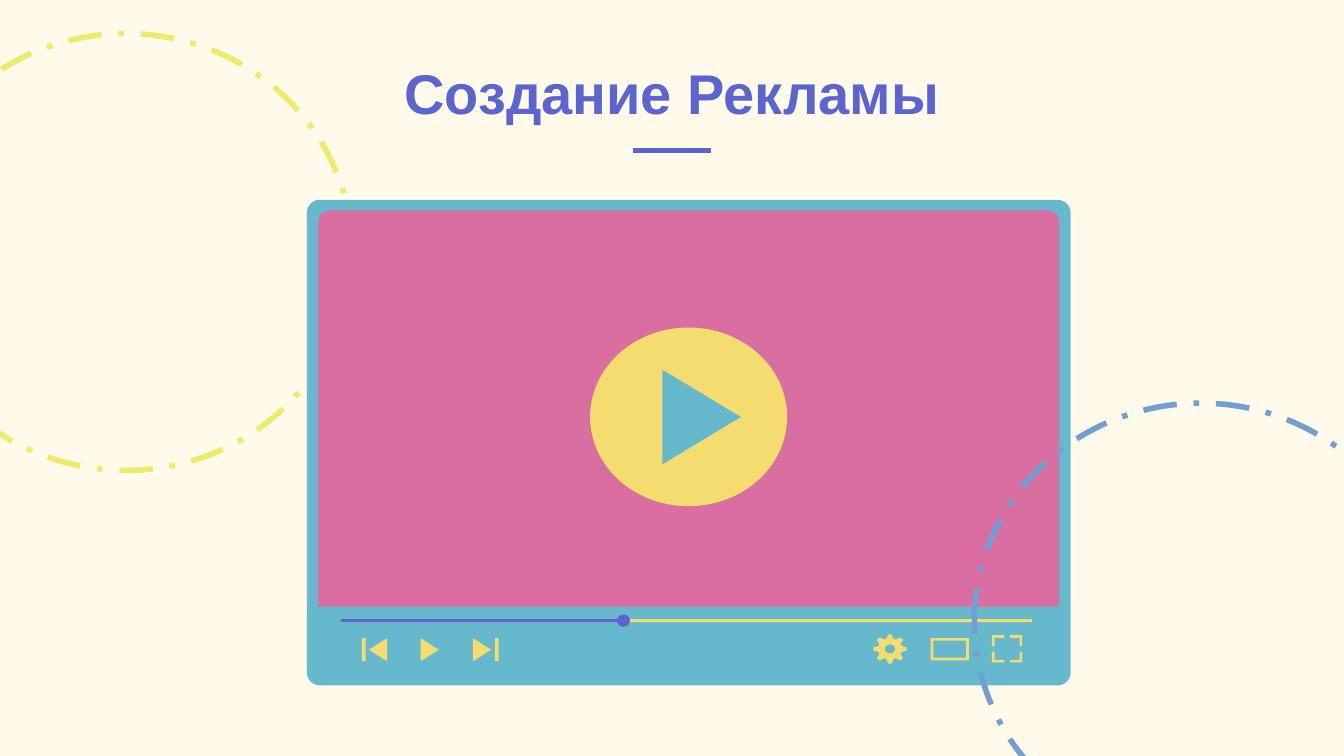
"""Build the "Создание Рекламы" slide with a video player illustration."""
from math import cos, radians, sin

from lxml import etree
from pptx import Presentation
from pptx.dml.color import RGBColor
from pptx.enum.shapes import MSO_CONNECTOR, MSO_SHAPE
from pptx.enum.text import MSO_ANCHOR, PP_ALIGN
from pptx.oxml.ns import qn
from pptx.util import Pt

TITLE = "Создание Рекламы"
FONT = "Arial"
COLORS = {
    "cream": "FFFAEA", "indigo": "5C65CF", "lime": "ECEC6A", "teal": "66B9CC",
    "pink": "D96FA0", "yellow": "F5DC6E", "blue": "729FCF",
}
SLIDE_SIZE = (720, 405)
TITLE_BOX = (62.6, 15.8, 594.8, 59)
UNDERLINE = (339.3, 380.7, 80.6)
RING_SIZE = (242.6, 234)
RINGS = {"lime": (-54, 18), "blue": (522, 216)}
DASHES = [(6, 3), (1, 3)]

PLAYER = [
    (MSO_SHAPE.ROUNDED_RECTANGLE, "teal", (164.4, 107.1, 409.2, 260.1), 7),
    (MSO_SHAPE.ROUNDED_RECTANGLE, "pink", (170.5, 112.7, 396.9, 248.7), 6.3),
    (MSO_SHAPE.OVAL, "yellow", (316.1, 175.5, 105.6, 95.7), None),
    (MSO_SHAPE.RECTANGLE, "teal", (170, 325, 398, 41), None),
    (MSO_SHAPE.RECTANGLE, "yellow", (182.5, 331.7, 370.5, 1.6), None),
    (MSO_SHAPE.RECTANGLE, "indigo", (182.5, 331.7, 151.5, 1.6), None),
    (MSO_SHAPE.OVAL, "indigo", (330.5, 329.2, 7.1, 6.6), None),
    (MSO_SHAPE.FRAME, "yellow", (498.6, 341.8, 20.4, 12), 1.4),
]
CONTROL_MIDDLE = 348.1
CONTROL_HEIGHT = 12.4
PLAY_MARKS = [
    ("teal", 354.9, 396.9, 223.4, 50.7),
    ("yellow", 253.4, 263.1, CONTROL_MIDDLE, CONTROL_HEIGHT),
    ("yellow", 225.4, 235.1, CONTROL_MIDDLE, CONTROL_HEIGHT),
    ("yellow", 207.4, 197.7, CONTROL_MIDDLE, CONTROL_HEIGHT),
]
SKIP_BARS = [193.9, 265.1]
SKIP_BAR_WIDTH = 2.1
GEAR = {"center": (476.8, 347.7), "radii": (9, 7.9), "teeth": 8}
TOOTH_PROFILE = [(-17, 0.72), (-6, 1), (6, 1), (17, 0.72)]
HOLE_RADIUS = 0.31
FULLSCREEN = {"center": (539.5, 347.6), "half": (8.1, 7.3), "gap": 1.5, "thickness": 1.4}


def color(name):
    return RGBColor.from_string(COLORS[name])


def paint(shape, name):
    shape.fill.solid()
    shape.fill.fore_color.rgb = color(name)
    shape.line.fill.background()
    shape.shadow.inherit = False


def add_solid(shapes, preset, name, box, detail=None):
    shape = shapes.add_shape(preset, *map(Pt, box))
    paint(shape, name)
    if detail:
        shape.adjustments[0] = detail / min(box[2:])


def add_outline(shapes, name, *contours):
    builder = None
    for contour in contours:
        points = [(Pt(x), Pt(y)) for x, y in contour]
        if builder is None:
            builder = shapes.build_freeform(*points[0])
        else:
            builder.move_to(*points[0])
        builder.add_line_segments(points[1:], close=True)
    paint(builder.convert_to_shape(), name)


def add_ring(shapes, name, corner):
    ring = shapes.add_shape(MSO_SHAPE.OVAL, *map(Pt, corner + RING_SIZE))
    ring.fill.background()
    ring.shadow.inherit = False
    ring.line.color.rgb = color(name)
    ring.line.width = Pt(3)
    pattern = etree.SubElement(ring.line._get_or_add_ln(), qn("a:custDash"))
    for dash, space in DASHES:
        etree.SubElement(pattern, qn("a:ds"), d=str(dash * 100000), sp=str(space * 100000))


def add_title(shapes):
    left, right, y = UNDERLINE
    underline = shapes.add_connector(MSO_CONNECTOR.STRAIGHT, Pt(left), Pt(y), Pt(right), Pt(y))
    underline.line.color.rgb = color("indigo")
    underline.line.width = Pt(3)
    etree.SubElement(underline._element.spPr, qn("a:effectLst"))

    frame = shapes.add_textbox(*map(Pt, TITLE_BOX)).text_frame
    frame.word_wrap = True
    frame.vertical_anchor = MSO_ANCHOR.BOTTOM
    frame.margin_left = frame.margin_right = frame.margin_top = frame.margin_bottom = Pt(7.2)
    paragraph = frame.paragraphs[0]
    paragraph.text = TITLE
    paragraph.alignment = PP_ALIGN.CENTER
    paragraph.font.name = FONT
    paragraph.font.size = Pt(30)
    paragraph.font.bold = True
    paragraph.font.color.rgb = color("indigo")


def add_gear(shapes):
    (center_x, center_y), (radius_x, radius_y) = GEAR["center"], GEAR["radii"]

    def polar(angle, radius):
        turn = radians(angle)
        return center_x + radius_x * radius * cos(turn), center_y + radius_y * radius * sin(turn)

    step = 360 / GEAR["teeth"]
    teeth = [polar(tooth * step + offset, radius)
             for tooth in range(GEAR["teeth"]) for offset, radius in TOOTH_PROFILE]
    hole = [polar(-angle, HOLE_RADIUS) for angle in range(0, 360, 15)]
    add_outline(shapes, "yellow", teeth, hole)


def add_fullscreen(shapes):
    (center_x, center_y), (width, height) = FULLSCREEN["center"], FULLSCREEN["half"]
    gap, thickness = FULLSCREEN["gap"], FULLSCREEN["thickness"]
    bracket = [(gap, height), (width, height), (width, gap), (width - thickness, gap),
               (width - thickness, height - thickness), (gap, height - thickness)]
    for side_x in (-1, 1):
        for side_y in (-1, 1):
            add_outline(shapes, "yellow",
                        [(center_x + side_x * x, center_y + side_y * y) for x, y in bracket])


def add_player(shapes):
    for preset, name, box, detail in PLAYER:
        add_solid(shapes, preset, name, box, detail)
    for name, base, tip, middle, height in PLAY_MARKS:
        add_outline(shapes, name,
                    [(base, middle - height / 2), (base, middle + height / 2), (tip, middle)])
    for left in SKIP_BARS:
        box = (left, CONTROL_MIDDLE - CONTROL_HEIGHT / 2, SKIP_BAR_WIDTH, CONTROL_HEIGHT)
        add_solid(shapes, MSO_SHAPE.RECTANGLE, "yellow", box)
    add_gear(shapes)
    add_fullscreen(shapes)


def main():
    presentation = Presentation()
    presentation.slide_width, presentation.slide_height = map(Pt, SLIDE_SIZE)
    slide = presentation.slides.add_slide(presentation.slide_layouts[6])
    slide.background.fill.solid()
    slide.background.fill.fore_color.rgb = color("cream")
    add_title(slide.shapes)
    add_ring(slide.shapes, "lime", RINGS["lime"])
    add_player(slide.shapes)
    add_ring(slide.shapes, "blue", RINGS["blue"])
    presentation.save("out.pptx")


if __name__ == "__main__":
    main()
